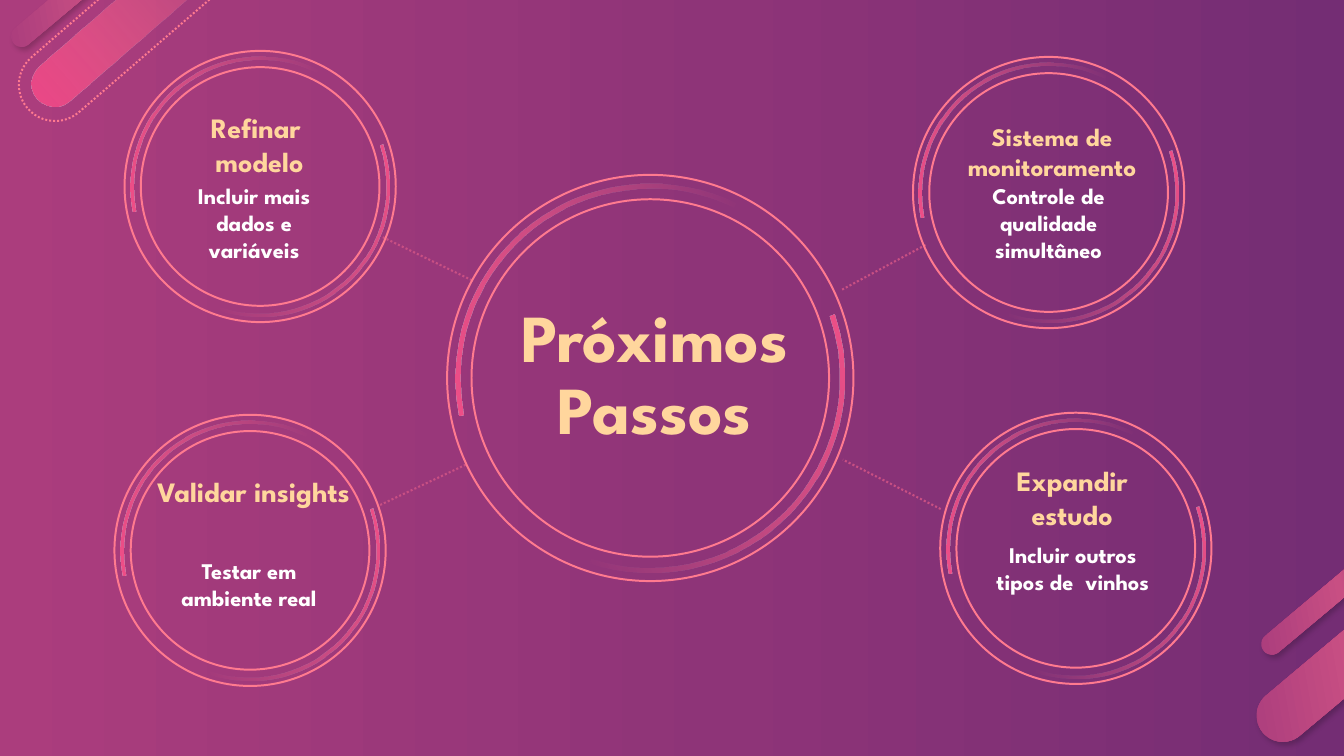
"""Build the "Próximos Passos" slide: a hub ring with four step rings."""
from lxml import etree
from pptx import Presentation
from pptx.dml.color import RGBColor
from pptx.enum.dml import MSO_LINE
from pptx.enum.shapes import MSO_CONNECTOR, MSO_SHAPE
from pptx.enum.text import MSO_AUTO_SIZE, PP_ALIGN
from pptx.oxml.ns import qn
from pptx.util import Inches, Pt

OVAL, ARC, PILL = MSO_SHAPE.OVAL, MSO_SHAPE.BLOCK_ARC, MSO_SHAPE.ROUNDED_RECTANGLE
DOTS, STRAIGHT = MSO_LINE.ROUND_DOT, MSO_CONNECTOR.STRAIGHT
CENTER, GROW = PP_ALIGN.CENTER, MSO_AUTO_SIZE.SHAPE_TO_FIT_TEXT

FONT = "League Spartan"
CREAM = RGBColor(0xFF, 0xD6, 0x9D)
WHITE = RGBColor(0xFF, 0xFF, 0xFF)
CORAL = RGBColor(0xFF, 0x7A, 0x8F)
PINK = RGBColor(0xED, 0x46, 0x87)
ROSE = RGBColor(0xC8, 0x4F, 0x83)
PLUM = RGBColor(0xAB, 0x3D, 0x7D)
MID = RGBColor(0x8E, 0x34, 0x78)
DARK = RGBColor(0x74, 0x2D, 0x74)
DEEP = RGBColor(0x69, 0x2B, 0x72)

BACK = [(0, PLUM, 100), (54, MID, 100), (100, DARK, 100)]
FADE = [(0, PINK, 100), (100, CORAL, 0)]
GLOW = [(0, CORAL, 0), (100, PINK, 100)]
BAR = [(1, PLUM, 100), (50, ROSE, 100), (100, DEEP, 100)]

RINGS = [(2.58, 1.85, 2.69), (6.45, 3.75, 4.03), (10.4, 1.91, 2.69),
         (10.67, 5.44, 2.69), (2.48, 5.46, 2.69)]
LINKS = [(4.68, 2.78, 3.79, 2.35), (9.18, 2.43, 8.34, 2.88),
         (4.62, 4.61, 3.77, 5.01), (9.33, 5.05, 8.36, 4.56)]
BARS = [(12.3, 5.71, 2, 0.21), (12.26, 6.28, 2.26, 0.52), (-0.1, -0.32, 2, 0.21)]
TEXTS = [
    ((4.77, 2.97, 3.45, 1.56), 48, CREAM, 0.9, ["Próximos Passos"]),
    ((1.86, 1.05, 1.43, 0.77), 20, CREAM, 1, ["Refinar ", "modelo"]),
    ((1.66, 1.76, 1.72, 0.91), 16, WHITE, 1, ["Incluir mais dados e variáveis"]),
    ((9.22, 1.15, 2.43, 0.71), 18, CREAM, 1, ["Sistema de monitoramento"]),
    ((9.54, 1.76, 1.72, 0.91), 16, WHITE, 1, ["Controle de qualidade simultâneo"]),
    ((1.41, 4.66, 2.21, 0.77), 20, CREAM, 1, ["Validar insights"]),
    ((1.61, 5.48, 1.72, 0.64), 16, WHITE, 1, ["Testar em ambiente real"]),
    ((9.92, 4.55, 1.43, 0.77), 20, CREAM, 1, ["Expandir estudo"]),
    ((9.78, 5.32, 1.72, 0.91), 16, WHITE, 1, ["Incluir outros tipos de  vinhos "]),
]


def child(node, tag, **attrs):
    sub = etree.SubElement(node, qn(tag))
    for key, value in attrs.items():
        sub.set(key, str(value))
    return sub


def tint(node, color, alpha):
    child(child(node, "a:srgbClr", val=color), "a:alpha", val=alpha * 1000)


def blend(owner, root, stops, angle=0):
    owner.fill.solid()
    solid = root.find(".//" + qn("a:solidFill"))
    grad = etree.Element(qn("a:gradFill"), rotWithShape="1")
    series = child(grad, "a:gsLst")
    for pos, color, alpha in stops:
        tint(child(series, "a:gs", pos=pos * 1000), color, alpha)
    child(grad, "a:lin", ang=angle * 60000, scaled=0)
    solid.getparent().replace(solid, grad)


def draw(slide, kind, box, turn=0, stops=None, angle=0, dash=None):
    shape = slide.shapes.add_shape(kind, *map(Inches, box))
    shape.rotation = turn
    shape.shadow.inherit = False
    if stops:
        blend(shape, shape._element.spPr, stops, angle)
        shape.line.fill.background()
    else:
        shape.fill.background()
        shape.line.color.rgb = CORAL
        shape.line.width = Pt(1.43)
        shape.line.dash_style = dash
    return shape


def pill(slide, box, turn, **look):
    shape = draw(slide, PILL, box, turn, **look)
    shape.adjustments[0] = 0.5
    return shape


def ring(slide, x, y, size):
    def square(ratio):
        side = size * ratio
        return x - side / 2, y - side / 2, side, side

    for ratio in (1, 0.88):
        draw(slide, OVAL, square(ratio))
    for turn in (153.1, 341):
        arc = draw(slide, ARC, square(0.957), turn, FADE)
        for i, value in enumerate((112.77, 189, 0.013)):
            arc.adjustments[i] = value


def link(slide, ends):
    line = slide.shapes.add_connector(STRAIGHT, *map(Inches, ends))
    line.line.color.rgb = ROSE
    line.line.width = Pt(1.5)
    line.line.dash_style = DOTS
    child(line._element.spPr, "a:effectLst")


def bar(slide, box):
    shape = pill(slide, box, 320, stops=BAR, angle=30)
    effects = shape._element.spPr.find(qn("a:effectLst"))
    shade = child(effects, "a:outerShdw", blurRad=Pt(4), dist=Pt(3),
                  dir=45 * 60000, algn="tl", rotWithShape=0)
    tint(shade, "000000", 20)


def label(slide, box, size, color, pitch, lines):
    frame = slide.shapes.add_textbox(*map(Inches, box)).text_frame
    frame.word_wrap = True
    frame.auto_size = GROW
    for i, line in enumerate(lines):
        para = frame.add_paragraph() if i else frame.paragraphs[0]
        para.alignment = CENTER
        para.line_spacing = pitch
        run = para.add_run()
        run.text = line
        run.font.name = FONT
        run.font.size = Pt(size)
        run.font.bold = True
        run.font.color.rgb = color


def main():
    deck = Presentation()
    deck.slide_width, deck.slide_height = Inches(13.33), Inches(7.5)
    slide = deck.slides.add_slide(deck.slide_layouts[6])
    blend(slide.background, slide._element, BACK)
    for ends in LINKS:
        link(slide, ends)
    pill(slide, (0.04, -0.12, 2.65, 0.46), 139, stops=GLOW)
    pill(slide, (-0.23, -0.64, 4.15, 0.72), 139.2, dash=DOTS)
    for box in BARS:
        bar(slide, box)
    for spot in RINGS:
        ring(slide, *spot)
    for item in TEXTS:
        label(slide, *item)
    deck.save("out.pptx")


if __name__ == "__main__":
    main()
